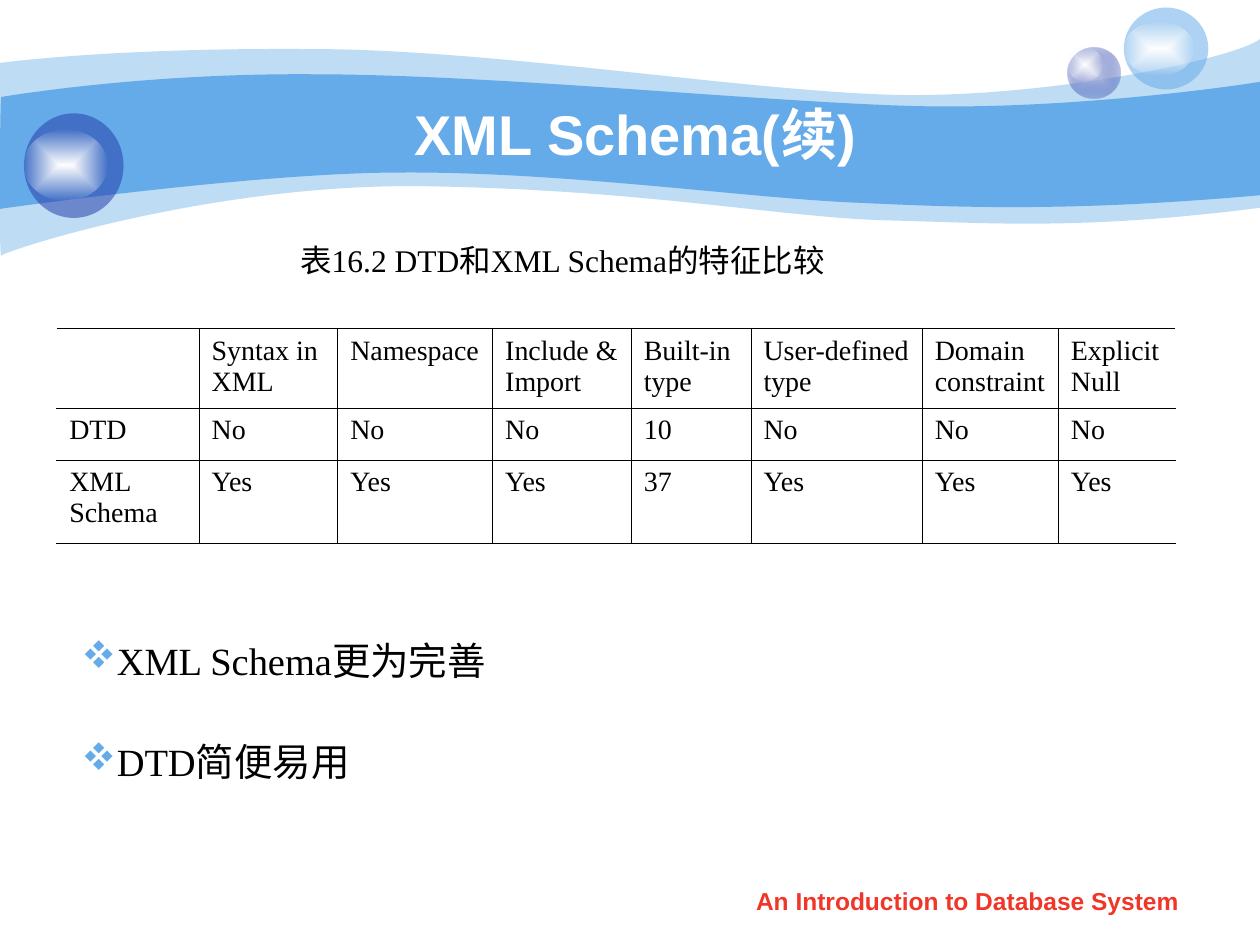
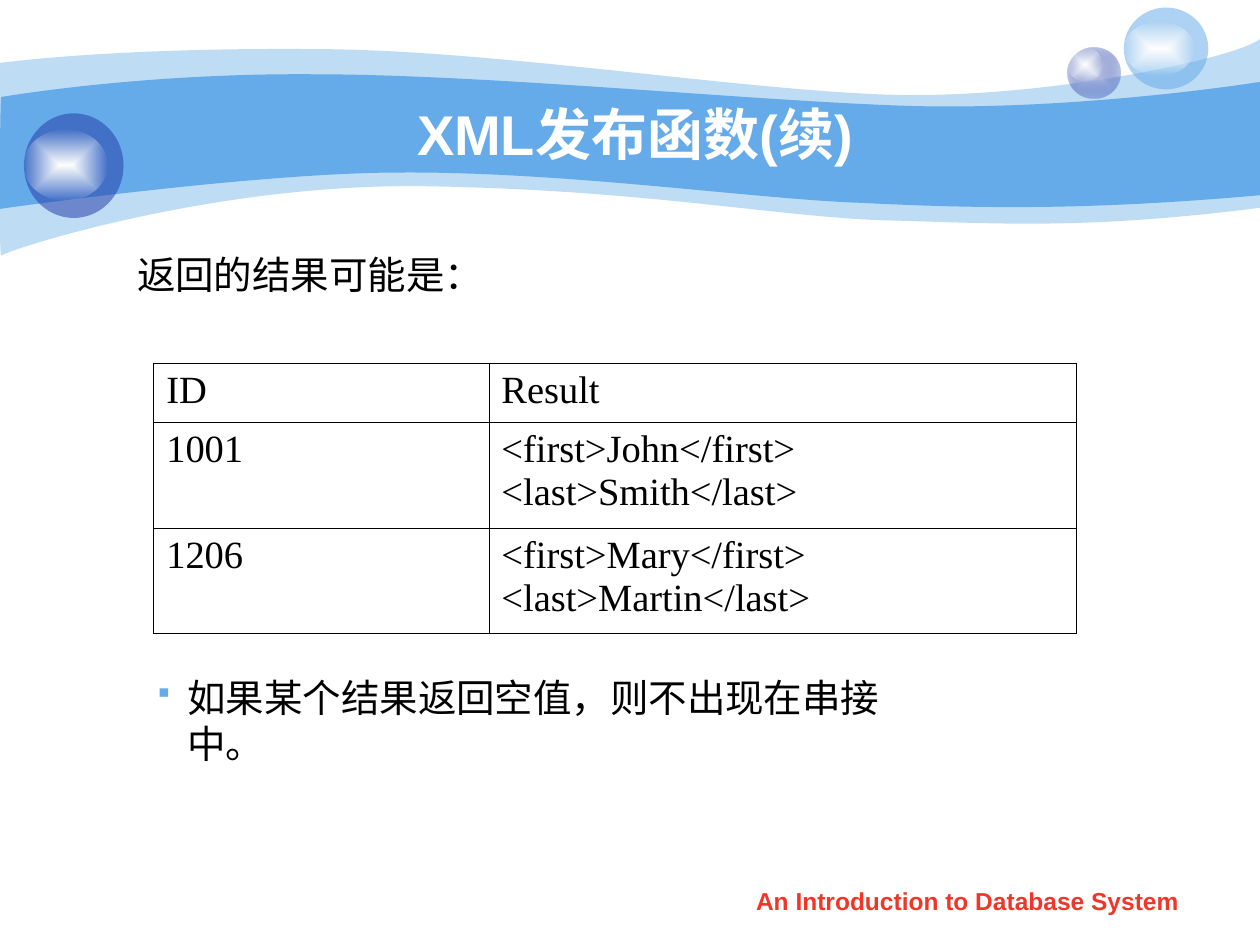
from pptx import Presentation
from pptx.dml.color import RGBColor
from pptx.enum.shapes import MSO_SHAPE
from pptx.enum.text import MSO_ANCHOR, PP_ALIGN
from pptx.oxml import parse_xml
from pptx.oxml.ns import nsdecls, qn
from pptx.util import Inches, Pt

SKY = RGBColor(0x65, 0xAA, 0xE9)
NAVY = RGBColor(0x23, 0x3D, 0xA9)
LAVENDER = RGBColor(0xC6, 0xCC, 0xE8)
WHITE = RGBColor(0xFF, 0xFF, 0xFF)
BLACK = RGBColor(0x00, 0x00, 0x00)
RED = RGBColor(0xF0, 0x36, 0x28)

HEADING_FONT = "Arial"
BODY_FONT = "Times New Roman"
BULLET_FONT = "Wingdings"
TITLE_BOX = (1, 0.75, 8.08, 0.62)
FOOTER_BOX = (5.71, 6.98, 3.94, 0.35)
FOOTER = "An Introduction to Database System"

PALE_WAVE = [
    (0, 0.5),
    (0.24, 0.47, 1.07, 0.38, 2.47, 0.39),
    (3.86, 0.39, 5.75, 0.7, 6.99, 0.75),
    (8.22, 0.8, 9.8, 0.47, 10, 0.31),
    (10, 1.65),
    (8.58, 1.83, 7.87, 1.77, 7.05, 1.75),
    (6.22, 1.73, 5.15, 1.51, 3.43, 1.48),
    (1.72, 1.44, 0.04, 1.99, 0.01, 2.03),
    (-0.01, 2.08, 0, 0.75, 0, 0.5),
]
STRONG_WAVE = [
    (0.01, 0.77),
    (0.02, 0.77, 1.1, 0.58, 2.48, 0.59),
    (3.86, 0.59, 5.95, 0.8, 7.18, 0.84),
    (8.41, 0.88, 9.76, 0.69, 10, 0.65),
    (10, 1.55),
    (8.53, 1.68, 7.65, 1.65, 6.82, 1.61),
    (5.99, 1.58, 4.47, 1.36, 3.17, 1.37),
    (2.03, 1.37, -0.02, 1.66, -0.01, 1.66),
    (0, 1.66, 0, 0.77, 0.01, 0.77),
]
WAVES = [(PALE_WAVE, 41), (STRONG_WAVE, 100)]

GLOW = [(WHITE, 100), (WHITE, 0)]
BALLS = [
    ((8.47, 0.38, 0.42, 0.4), [(LAVENDER, 100), (NAVY, 31)]),
    ((8.47, 0.38, 0.28, 0.27), GLOW),
    ((8.92, 0.06, 0.67, 0.65), [(SKY, 53)]),
    ((8.92, 0.17, 0.56, 0.43), GLOW),
    ((0.19, 0.9, 0.79, 0.83), [(NAVY, 53)]),
    ((0.19, 1.03, 0.66, 0.56), GLOW),
]

SLIDES = [
    {
        "title": "XML Schema(续)",
        "caption": {
            "box": (2.13, 1.86, 4.67, 0.4),
            "lines": ["表16.2 DTD和XML Schema的特征比较"],
            "size": 18,
            "align": PP_ALIGN.CENTER,
            "wrap": False,
        },
        "table": {
            "origin": (0.45, 2.61),
            "columns": [1.13, 1.1, 1.23, 1.1, 0.95, 1.36, 1.08, 0.93],
            "heights": [0.63, 0.41, 0.66],
            "size": 16,
            "side_color": WHITE,
            "rows": [
                ["", "Syntax in\nXML", "Namespace", "Include &\nImport", "Built-in\ntype",
                 "User-defined\ntype", "Domain\nconstraint", "Explicit\nNull"],
                ["DTD", "No", "No", "No", "10", "No", "No", "No"],
                ["XML Schema", "Yes", "Yes", "Yes", "37", "Yes", "Yes", "Yes"],
            ],
        },
        "notes": {
            "box": (0.55, 4.56, 9.02, 1.72),
            "lines": ["XML Schema更为完善", "DTD简便易用"],
            "bullet": ("v", 100, 0.27),
            "line_spacing": 2.2,
        },
    },
    {
        "title": "XML发布函数(续)",
        "caption": {
            "box": (0.99, 1.94, 2.94, 0.47),
            "lines": ["返回的结果可能是："],
            "wrap": False,
        },
        "table": {
            "origin": (1.22, 2.88),
            "columns": [2.66, 4.66],
            "heights": [0.47, 0.84, 0.84],
            "size": 22,
            "side_color": BLACK,
            "rows": [
                ["ID", "Result"],
                ["1001", "<first>John</first>\n<last>Smith</last>"],
                ["1206", "<first>Mary</first>\n<last>Martin</last>"],
            ],
        },
        "notes": {
            "box": (1.15, 5.48, 6.47, 0.47),
            "lines": ["如果某个结果返回空值，则不出现在串接中。"],
            "bullet": ("§", 75, 0.24),
            "margin_right": 0.48,
        },
    },
]


def color_xml(color, opacity):
    return f'<a:srgbClr val="{color}"><a:alpha val="{opacity * 1000}"/></a:srgbClr>'


def paint(shape, stops):
    shape.shadow.inherit = False
    shape.line.fill.background()
    shape.fill.background()
    if len(stops) == 1:
        xml = f'<a:solidFill {nsdecls("a")}>{color_xml(*stops[0])}</a:solidFill>'
    else:
        start, end = (color_xml(*stop) for stop in stops)
        xml = (
            f'<a:gradFill {nsdecls("a")} rotWithShape="1"><a:gsLst>'
            f'<a:gs pos="0">{start}</a:gs><a:gs pos="100000">{end}</a:gs></a:gsLst>'
            '<a:path path="rect"><a:fillToRect l="50000" t="50000" r="50000" b="50000"/>'
            "</a:path></a:gradFill>"
        )
    properties = shape.element.spPr
    properties.replace(properties.find(qn("a:noFill")), parse_xml(xml))


def add_wave(slide, segments):
    points = [
        (Inches(segment[i]), Inches(segment[i + 1]))
        for segment in segments
        for i in range(0, len(segment), 2)
    ]
    builder = slide.shapes.build_freeform(*points[0])
    builder.add_line_segments(points[1:], close=True)
    wave = builder.convert_to_shape()
    lines = iter(list(wave.element.iter(qn("a:lnTo"))))
    for segment in segments[1:]:
        line = next(lines)
        if len(segment) == 6:
            curve = parse_xml(f'<a:cubicBezTo {nsdecls("a")}/>')
            line.addprevious(curve)
            for control in (line, next(lines), next(lines)):
                curve.append(control[0])
                control.getparent().remove(control)
    return wave


def decorate_layout(layout, slide):
    for placeholder in list(layout.placeholders)[1:]:
        layout.shapes.element.remove(placeholder.element)
    decorations = []
    for segments, opacity in WAVES:
        wave = add_wave(slide, segments)
        paint(wave, [(SKY, opacity)])
        decorations.append(wave)
    for box, stops in BALLS:
        ball = slide.shapes.add_shape(MSO_SHAPE.OVAL, *map(Inches, box))
        paint(ball, stops)
        decorations.append(ball)
    for position, shape in enumerate(decorations, start=2):
        layout.shapes.element.insert(position, shape.element)


def format_text(text_frame, font_name, size, color, bold=False, align=PP_ALIGN.LEFT):
    for paragraph in text_frame.paragraphs:
        paragraph.alignment = align
        for run in paragraph.runs:
            run.font.name = font_name
            run.font.size = Pt(size)
            run.font.bold = bold
            run.font.color.rgb = color


def add_bullet(paragraph, character, percent, indent):
    properties = paragraph._p.get_or_add_pPr()
    properties.set("marL", str(Inches(indent)))
    properties.set("indent", str(-Inches(indent)))
    for xml in (
        f'<a:buClr {nsdecls("a")}><a:srgbClr val="{SKY}"/></a:buClr>',
        f'<a:buSzPct {nsdecls("a")} val="{percent * 1000}"/>',
        f'<a:buFont {nsdecls("a")} typeface="{BULLET_FONT}" charset="2"/>',
        f'<a:buChar {nsdecls("a")} char="{character}"/>',
    ):
        properties.append(parse_xml(xml))


def add_text(slide, box, lines, size=22, align=PP_ALIGN.LEFT, wrap=True,
             bullet=None, line_spacing=None, margin_right=0.1):
    text_frame = slide.shapes.add_textbox(*map(Inches, box)).text_frame
    text_frame.word_wrap = wrap
    text_frame.margin_right = Inches(margin_right)
    text_frame.vertical_anchor = MSO_ANCHOR.MIDDLE
    text_frame.text = "\n".join(lines)
    for paragraph in text_frame.paragraphs:
        if bullet:
            add_bullet(paragraph, *bullet)
        if line_spacing:
            paragraph.line_spacing = line_spacing
    format_text(text_frame, BODY_FONT, size, BLACK, align=align)


def add_borders(cell, left, right):
    properties = cell._tc.get_or_add_tcPr()
    for side, color in (("L", left), ("R", right), ("T", BLACK), ("B", BLACK)):
        properties.append(parse_xml(
            f'<a:ln{side} {nsdecls("a")} w="{Pt(0.45)}"><a:solidFill>'
            f'<a:srgbClr val="{color}"/></a:solidFill></a:ln{side}>'
        ))


def add_grid(slide, origin, columns, heights, size, side_color, rows):
    extent = (sum(columns), sum(heights))
    table = slide.shapes.add_table(
        len(rows), len(columns), *map(Inches, origin + extent)
    ).table
    table.first_row = table.horz_banding = False
    for column, width in zip(table.columns, columns):
        column.width = Inches(width)
    for row, height in zip(table.rows, heights):
        row.height = Inches(height)
    last = len(columns) - 1
    for row_index, row in enumerate(rows):
        for column_index, text in enumerate(row):
            cell = table.cell(row_index, column_index)
            cell.text = text
            format_text(cell.text_frame, BODY_FONT, size, BLACK)
            add_borders(
                cell,
                side_color if column_index == 0 else BLACK,
                side_color if column_index == last else BLACK,
            )
            cell.fill.background()


def add_title(slide, text):
    title = slide.shapes.title
    title.left, title.top, title.width, title.height = map(Inches, TITLE_BOX)
    title.text_frame.text = text
    title.text_frame.vertical_anchor = MSO_ANCHOR.MIDDLE
    format_text(title.text_frame, HEADING_FONT, 32, WHITE, True, PP_ALIGN.CENTER)


def add_footer(slide):
    text_frame = slide.shapes.add_textbox(*map(Inches, FOOTER_BOX)).text_frame
    text_frame.word_wrap = True
    text_frame.text = FOOTER
    format_text(text_frame, HEADING_FONT, 14, RED, True, PP_ALIGN.CENTER)


def main():
    presentation = Presentation()
    presentation.slide_width = Inches(10)
    presentation.slide_height = Inches(7.5)
    layout = presentation.slide_layouts[5]
    for index, content in enumerate(SLIDES):
        slide = presentation.slides.add_slide(layout)
        if index == 0:
            decorate_layout(layout, slide)
        add_title(slide, content["title"])
        add_text(slide, **content["caption"])
        add_grid(slide, **content["table"])
        add_text(slide, **content["notes"])
        add_footer(slide)
    presentation.save("out.pptx")


if __name__ == "__main__":
    main()
